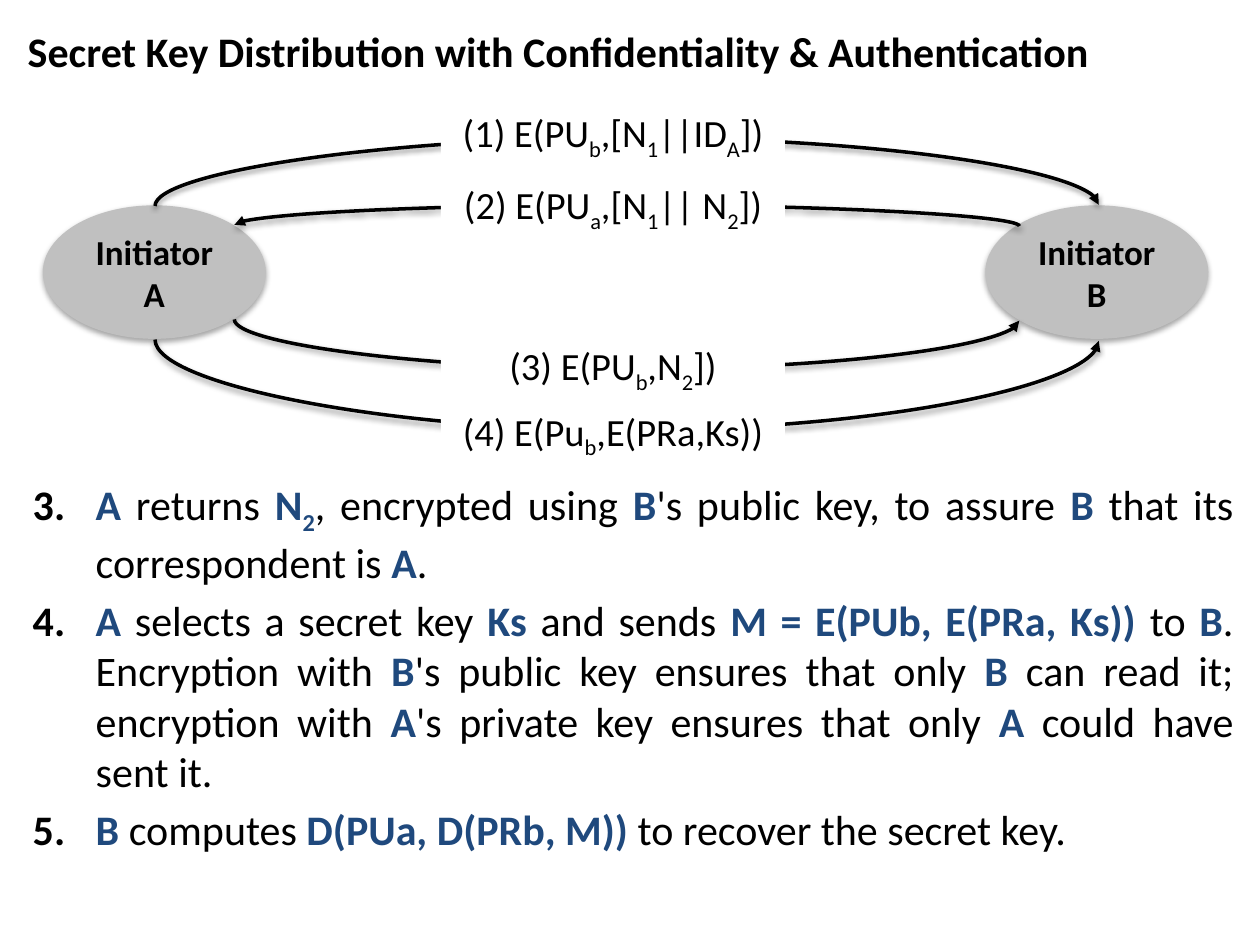
"""Build a slide on secret key distribution with confidentiality and authentication."""
import lxml.etree
import pptx
import pptx.dml.color
import pptx.enum.shapes
import pptx.enum.text
import pptx.oxml
import pptx.oxml.ns
import pptx.util

Inches, Pt = pptx.util.Inches, pptx.util.Pt
ALIGN, ANCHOR = pptx.enum.text.PP_ALIGN, pptx.enum.text.MSO_ANCHOR
SHAPE = pptx.enum.shapes.MSO_SHAPE

THEME = dict(font="Calibri", ink="000000", key="1F497D", node="C0C0C0", paper="FFFFFF",
             body=24, label=22, name=20, line=2)

TITLE = "Secret Key Distribution with Confidentiality & Authentication"
STEPS = [
    "*A* returns *N~2~*, encrypted using *B*'s public key, to assure *B* that its "
    "correspondent is *A*.",
    "*A *selects a secret key *Ks* and sends *M = E(PUb, E(PRa, Ks)) *to *B*. Encryption "
    "with *B*'s public key ensures that only *B* can read it; encryption with *A*'s "
    "private key ensures that only *A* could have sent it.",
    "*B* computes *D(PUa, D(PRb, M)) *to recover the secret key.",
]
FIRST_STEP = 3
PARTIES = [("A", 0.34), ("B", 7.82)]
NODE_TOP, NODE_W, NODE_H = 1.63, 1.77, 1.06
LABEL_X, LABEL_W, LABEL_H = 3.5, 2.73, 0.45
MESSAGES = [
    dict(text="(1) E(PU~b~,[N~1~||ID~A~])", label_y=0.85, start=1.23, end=8.72, y=1.63, peak=1.08),
    dict(text="(2) E(PU~a~,[N~1~|| N~2~])", label_y=1.42, start=8.09, end=1.86, y=1.79, peak=1.62),
    dict(text="(3) E(PU~b~,N~2~])", label_y=2.7, start=1.86, end=8.09, y=2.54, peak=2.94),
    dict(text="(4) E(Pu~b~,E(PRa,Ks))", label_y=3.22, start=1.23, end=8.72, y=2.7, peak=3.43),
]
THIN = 0.01


def rgb(name):
    return pptx.dml.color.RGBColor.from_string(THEME[name])


def write(p, text, size, bold=False, align=ALIGN.CENTER):
    """Write text where *stars* mark key terms and ~tildes~ mark subscripts."""
    p.alignment = align
    for i, part in enumerate(text.split("*")):
        for j, piece in enumerate(part.split("~")):
            if not piece:
                continue
            r = p.add_run()
            r.text = piece
            r.font.name, r.font.size = THEME["font"], Pt(THEME[size])
            r.font.bold = bold or i % 2 == 1
            r.font.color.rgb = rgb("key" if i % 2 else "ink")
            if j % 2:
                r.font._element.set("baseline", "-25000")


def xml(parent, source):
    ns = pptx.oxml.ns.nsdecls("a")
    parent.append(pptx.oxml.parse_xml(source.replace(" ", f" {ns} ", 1)))


def add_shadow(sp, distance, alpha):
    spPr = sp._element.spPr
    for old in spPr.findall(pptx.oxml.ns.qn("a:effectLst")):
        spPr.remove(old)
    xml(spPr, f'<a:effectLst ><a:outerShdw blurRad="40000" dist="{distance}" dir="5400000" '
              f'rotWithShape="0"><a:srgbClr val="{THEME["ink"]}"><a:alpha val="{alpha}000"/>'
              '</a:srgbClr></a:outerShdw></a:effectLst>')


def add_box(shapes, kind, x, y, w, h, fill, lines, size, bold=False):
    sp = shapes.add_shape(kind, Inches(x), Inches(y), Inches(w), Inches(h))
    sp.shadow.inherit = False
    sp.fill.solid()
    sp.fill.fore_color.rgb = rgb(fill)
    sp.line.fill.background()
    tf = sp.text_frame
    tf.word_wrap, tf.vertical_anchor = True, ANCHOR.MIDDLE
    for i, line in enumerate(lines):
        write(tf.add_paragraph() if i else tf.paragraphs[0], line, size, bold)
    return sp


def add_arc(shapes, start, end, y, peak):
    """Draw a curved arrow as a thin connector turned on its side."""
    cx, half, rise = (start + end) / 2, abs(end - start) / 2, peak - y
    turn = 90 if rise < 0 and start < end else 270
    flip_h = (rise < 0) == (turn == 90)
    flip_v = (start < end) == (turn == 90)
    dx, dy = (-THIN / 2 if flip_h else THIN / 2), (-half if flip_v else half)
    line = shapes.add_connector(pptx.enum.shapes.MSO_CONNECTOR.CURVE, Inches(cx - dx),
                                Inches(y - dy), Inches(cx + dx), Inches(y + dy))
    line.line.color.rgb, line.line.width = rgb("ink"), Pt(THEME["line"])
    spPr = line._element.spPr
    spPr.find(pptx.oxml.ns.qn("a:xfrm")).set("rot", str(turn * 60000))
    guides = spPr.find(pptx.oxml.ns.qn("a:prstGeom")).find(pptx.oxml.ns.qn("a:avLst"))
    xml(guides, f'<a:gd name="adj1" fmla="val {round(abs(rise) / THIN * 100000)}"/>')
    xml(spPr.find(pptx.oxml.ns.qn("a:ln")), '<a:tailEnd type="triangle"/>')
    add_shadow(line, 20000, 38)


def place(sp, x, y, w, h):
    sp.left, sp.top, sp.width, sp.height = map(Inches, (x, y, w, h))
    tf = sp.text_frame
    tf.word_wrap, tf.auto_size = True, pptx.enum.text.MSO_AUTO_SIZE.NONE
    return tf


def main():
    prs = pptx.Presentation()
    prs.slide_width, prs.slide_height = Inches(10), Inches(7.5)
    s = prs.slides.add_slide(prs.slide_layouts[1])

    tf = place(s.shapes.title, 0.12, 0.12, 9.76, 0.56)
    tf.vertical_anchor = ANCHOR.MIDDLE
    write(tf.paragraphs[0], TITLE, "body", bold=True, align=ALIGN.LEFT)

    tf = place(s.placeholders[1], 0.16, 3.75, 9.73, 3.24)
    for i, step in enumerate(STEPS):
        p = tf.add_paragraph() if i else tf.paragraphs[0]
        pPr = p._p.get_or_add_pPr()
        pPr.set("marL", str(Inches(0.5)))
        pPr.set("indent", str(-Inches(0.5)))
        xml(pPr, f'<a:buClr ><a:srgbClr val="{THEME["ink"]}"/></a:buClr>')
        xml(pPr, f'<a:buFont typeface="{THEME["font"]}"/>')
        xml(pPr, f'<a:buAutoNum type="arabicPeriod" startAt="{FIRST_STEP}"/>')
        p.space_before = Pt(4.5 if i else 0)
        write(p, step, "body", align=ALIGN.JUSTIFY)

    for name, x in PARTIES:
        sp = add_box(s.shapes, SHAPE.OVAL, x, NODE_TOP, NODE_W, NODE_H, "node",
                     ["Initiator", name], "name", bold=True)
        add_shadow(sp, 23000, 35)

    for m in MESSAGES:
        shapes = s.shapes.add_group_shape().shapes
        add_arc(shapes, m["start"], m["end"], m["y"], m["peak"])
        add_box(shapes, SHAPE.RECTANGLE, LABEL_X, m["label_y"], LABEL_W, LABEL_H, "paper",
                [m["text"]], "label")

    prs.save("out.pptx")


if __name__ == "__main__":
    main()
